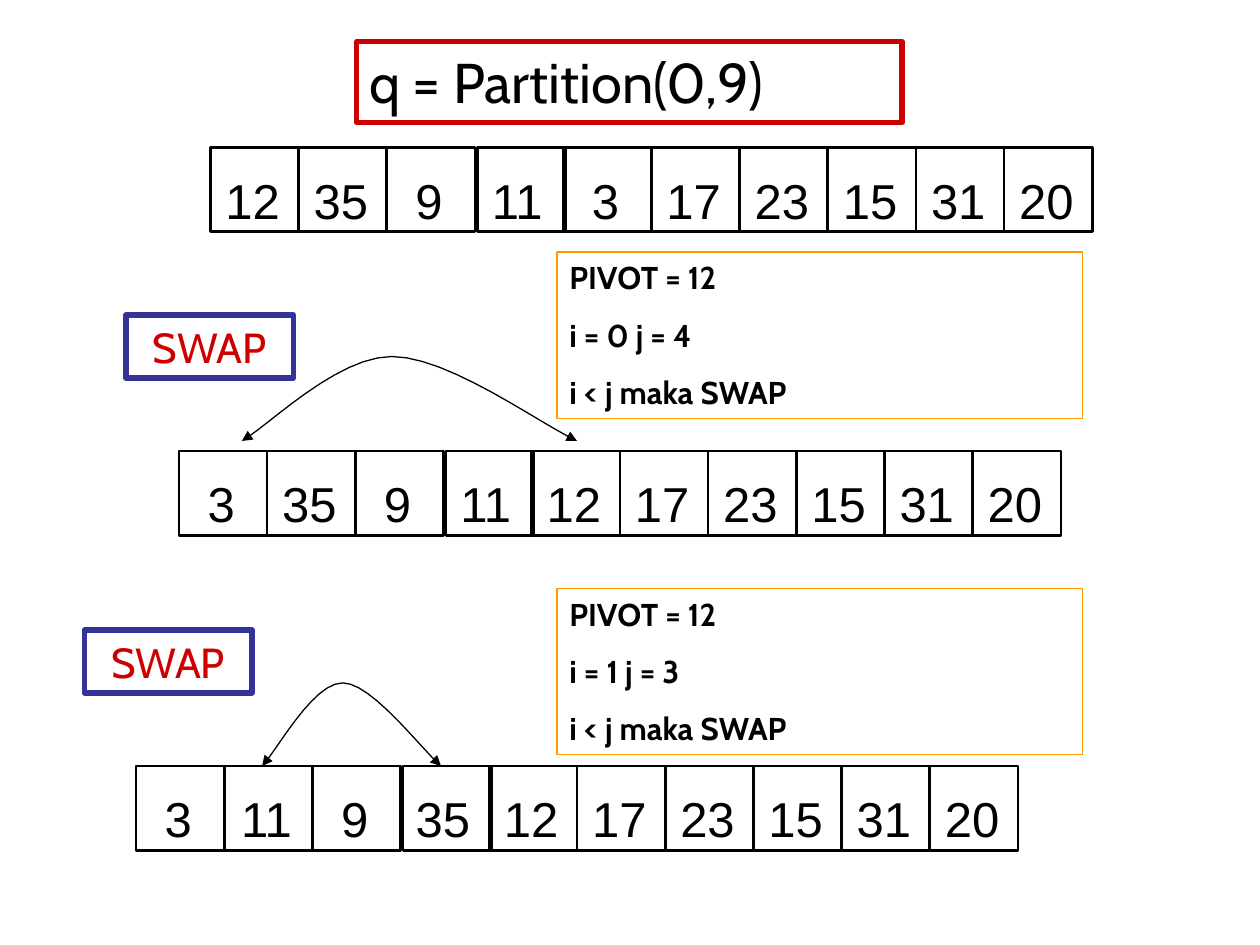
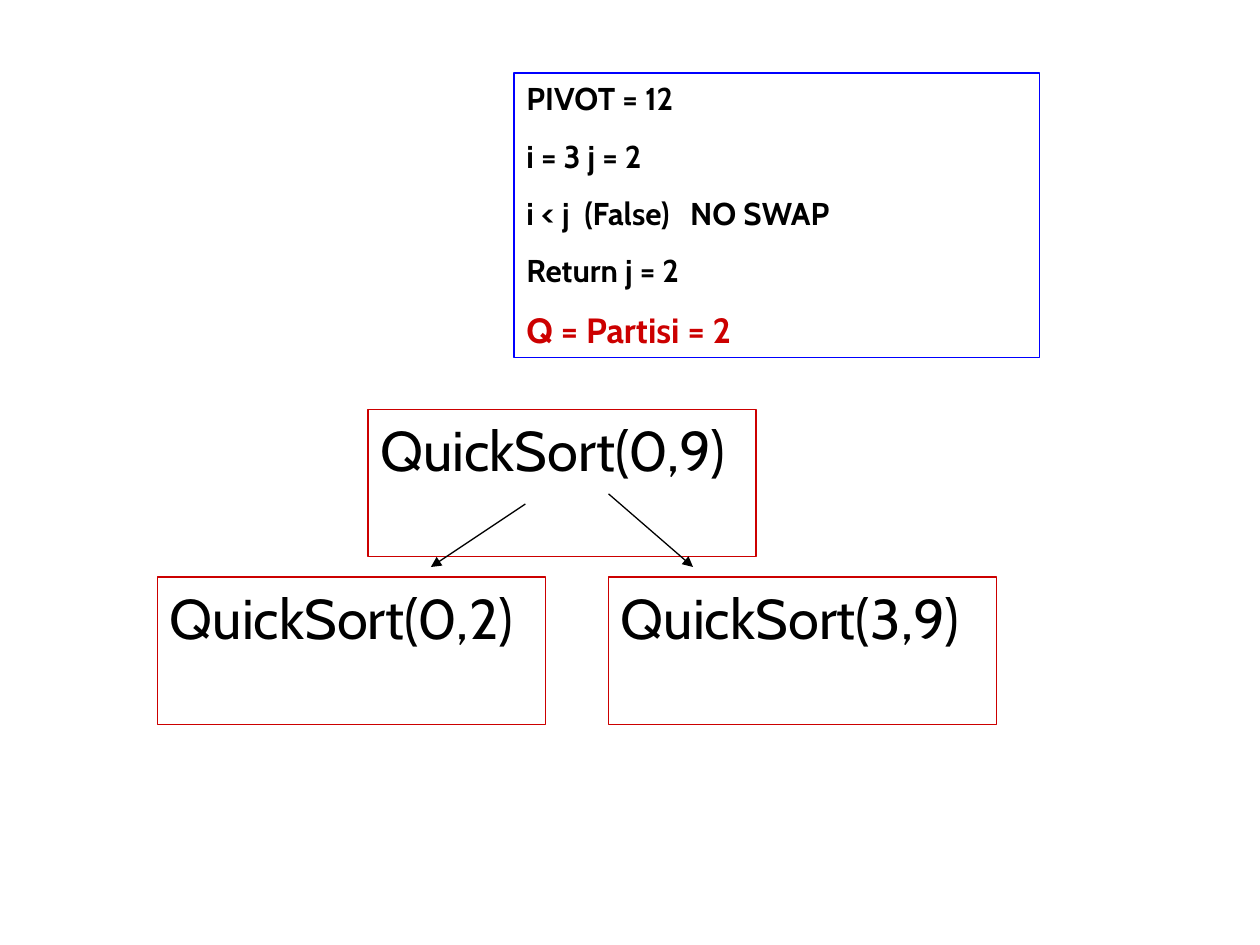
from dataclasses import dataclass

from lxml import etree
from pptx import Presentation
from pptx.dml.color import RGBColor
from pptx.enum.shapes import MSO_CONNECTOR, MSO_SHAPE
from pptx.enum.text import MSO_ANCHOR, MSO_AUTO_SIZE, PP_ALIGN
from pptx.oxml.ns import qn
from pptx.util import Inches, Pt

RECTANGLE = MSO_SHAPE.RECTANGLE
STRAIGHT = MSO_CONNECTOR.STRAIGHT
LEFT, CENTER = PP_ALIGN.LEFT, PP_ALIGN.CENTER
TOP = MSO_ANCHOR.TOP
NO_AUTOFIT = MSO_AUTO_SIZE.NONE
TITLE_ONLY, BLANK = 5, 6
CELL_WIDTH, CELL_HEIGHT = 0.7, 0.67
CURVE_STEPS = 12


@dataclass(frozen=True)
class Theme:
    black: RGBColor = RGBColor(0x00, 0x00, 0x00)
    red: RGBColor = RGBColor(0xCC, 0x00, 0x00)
    orange: RGBColor = RGBColor(0xFF, 0x99, 0x00)
    blue: RGBColor = RGBColor(0x00, 0x00, 0xFF)
    indigo: RGBColor = RGBColor(0x33, 0x33, 0x99)
    text_font: str = "Cabin"
    number_font: str = "Arial"
    call_size: float = 32
    number_size: float = 28
    swap_size: float = 24
    result_size: float = 20
    step_size: float = 18
    step_gap: float = 11.2
    thin: float = 0.75
    medium: float = 1.5
    thick: float = 3


def bezier_points(start, control_1, control_2, end):
    """Sample a cubic curve, leaving out its start."""
    for step in range(1, CURVE_STEPS + 1):
        t = step / CURVE_STEPS
        weights = ((1 - t) ** 3, 3 * t * (1 - t) ** 2, 3 * t * t * (1 - t), t ** 3)
        corners = (start, control_1, control_2, end)
        yield tuple(sum(weight * corner[axis] for weight, corner in zip(weights, corners))
                    for axis in (0, 1))


class Deck:
    def __init__(self, theme):
        self.theme = theme
        self.presentation = Presentation()
        self.presentation.slide_width = Inches(10)
        self.presentation.slide_height = Inches(7.5)
        self.slide = None

    def add_slide(self, layout):
        self.slide = self.presentation.slides.add_slide(
            self.presentation.slide_layouts[layout])

    def outline(self, shape, color, width):
        shape.line.color.rgb = color
        shape.line.width = Pt(width)

    def add_text(self, paragraph, text, size, color=None, font=None, bold=False, align=LEFT):
        paragraph.alignment = align
        run = paragraph.add_run()
        run.text = text
        run.font.name = font or self.theme.text_font
        run.font.size = Pt(size)
        run.font.bold = bold
        run.font.color.rgb = color or self.theme.black

    def prepare_text(self, shape):
        frame = shape.text_frame
        frame.auto_size = NO_AUTOFIT
        frame.word_wrap = True
        frame.vertical_anchor = TOP
        return frame

    def box(self, left, top, width, height, color, line_width):
        shape = self.slide.shapes.add_shape(
            RECTANGLE, Inches(left), Inches(top), Inches(width), Inches(height))
        shape.shadow.inherit = False
        shape.fill.background()
        self.outline(shape, color, line_width)
        self.prepare_text(shape)
        return shape

    def title(self, text, left, top, width, height):
        title = self.slide.shapes.title
        title.left, title.top = Inches(left), Inches(top)
        title.width, title.height = Inches(width), Inches(height)
        self.outline(title, self.theme.red, self.theme.thick)
        frame = self.prepare_text(title)
        self.add_text(frame.paragraphs[0], text, self.theme.call_size)

    def call_box(self, left, top, text):
        shape = self.box(left, top, 3.08, 1.17, self.theme.red, self.theme.thin)
        self.add_text(shape.text_frame.paragraphs[0], text, self.theme.call_size)

    def swap_label(self, left, top):
        shape = self.box(left, top, 1.33, 0.5, self.theme.indigo, self.theme.thick)
        self.add_text(shape.text_frame.paragraphs[0], "SWAP", self.theme.swap_size,
                      self.theme.red, align=CENTER)

    def array_row(self, left, top, numbers):
        for index, number in enumerate(numbers):
            nudge = 0.02 if index == 3 else 0
            cell = self.box(left + index * CELL_WIDTH + nudge, top, CELL_WIDTH,
                            CELL_HEIGHT, self.theme.black, self.theme.medium)
            frame = cell.text_frame
            frame.word_wrap = False
            frame.margin_left = frame.margin_bottom = 0
            frame.margin_top = Inches(0.18)
            frame.margin_right = Inches(0.03 + 2 * nudge)
            self.add_text(frame.paragraphs[0], str(number), self.theme.number_size,
                          font=self.theme.number_font, align=CENTER)

    def steps_box(self, left, top, height, color, steps, result=None):
        frame = self.box(left, top, 4.17, height, color, self.theme.thin).text_frame
        lines = [(step, self.theme.step_size, self.theme.black) for step in steps]
        if result:
            lines.append((result, self.theme.result_size, self.theme.red))
        for index, (text, size, text_color) in enumerate(lines):
            paragraph = frame.add_paragraph() if index else frame.paragraphs[0]
            if "\t" in text:
                self.tab_stops(paragraph, 0.46, 1.3)
            if index:
                paragraph.space_before = Pt(self.theme.step_gap)
            self.add_text(paragraph, text, size, text_color, bold=True)

    def tab_stops(self, paragraph, *positions):
        properties = paragraph._p.get_or_add_pPr()
        tabs = etree.SubElement(properties, qn("a:tabLst"))
        for position in positions:
            etree.SubElement(tabs, qn("a:tab"), pos=str(Inches(position)), algn="l")

    def arrowheads(self, shape, *ends):
        line = shape.element.spPr.find(qn("a:ln"))
        for end in ends:
            etree.SubElement(line, qn(f"a:{end}"), type="triangle")

    def arrow(self, start, end):
        connector = self.slide.shapes.add_connector(
            STRAIGHT, *(Inches(length) for length in start + end))
        self.outline(connector, self.theme.black, self.theme.thin)
        self.arrowheads(connector, "tailEnd")
        etree.SubElement(connector.element.spPr, qn("a:effectLst"))

    def swap_arc(self, start, rise_controls, peak, fall_controls, end):
        """Draw a double-headed arc from two cubic curves meeting at the peak."""
        points = [*bezier_points(start, *rise_controls, peak),
                  *bezier_points(peak, *fall_controls, end)]
        builder = self.slide.shapes.build_freeform(
            Inches(start[0]), Inches(start[1]))
        builder.add_line_segments(
            [(Inches(x), Inches(y)) for x, y in points], close=False)
        arc = builder.convert_to_shape()
        arc.shadow.inherit = False
        arc.fill.background()
        self.outline(arc, self.theme.black, self.theme.thin)
        self.arrowheads(arc, "headEnd", "tailEnd")


def build_partition_slide(deck):
    deck.add_slide(TITLE_ONLY)
    deck.title("q = Partition(0,9)", 2.83, 0.33, 4.33, 0.64)

    tail = [17, 23, 15, 31, 20]
    deck.array_row(1.67, 1.17, [12, 35, 9, 11, 3] + tail)
    deck.array_row(1.42, 3.58, [3, 35, 9, 11, 12] + tail)
    deck.array_row(1.08, 6.08, [3, 11, 9, 35, 12] + tail)

    for top, indices in ((2, "i = 0 j = 4"), (4.67, "i = 1 j = 3")):
        deck.steps_box(4.42, top, 1.32, deck.theme.orange,
                       ["PIVOT = 12", indices, "i < j maka SWAP"])

    deck.swap_label(1, 2.5)
    deck.swap_arc((1.92, 3.5), ((2.12, 3.39), (2.67, 2.83)), (3.11, 2.83),
                  ((3.56, 2.83), (4.28, 3.36)), (4.58, 3.5))
    deck.swap_label(0.67, 5)
    deck.swap_arc((2.08, 6.08), ((2.19, 5.97), (2.48, 5.42)), (2.72, 5.42),
                  ((2.95, 5.42), (3.34, 5.94)), (3.5, 6.08))


def build_recursion_slide(deck):
    deck.add_slide(BLANK)
    deck.steps_box(4.08, 0.58, 2.26, deck.theme.blue,
                   ["PIVOT = 12", "i = 3 j = 2", "i < j\t(False)\tNO SWAP",
                    "Return j = 2"],
                   result="Q = Partisi = 2")
    deck.call_box(2.92, 3.25, "QuickSort(0,9)")
    deck.call_box(4.83, 4.58, "QuickSort(3,9)")
    deck.call_box(1.25, 4.58, "QuickSort(0,2)")
    deck.arrow((4.17, 4), (3.42, 4.5))
    deck.arrow((4.83, 3.92), (5.5, 4.5))


def main():
    deck = Deck(Theme())
    build_partition_slide(deck)
    build_recursion_slide(deck)
    deck.presentation.save("out.pptx")


if __name__ == "__main__":
    main()
